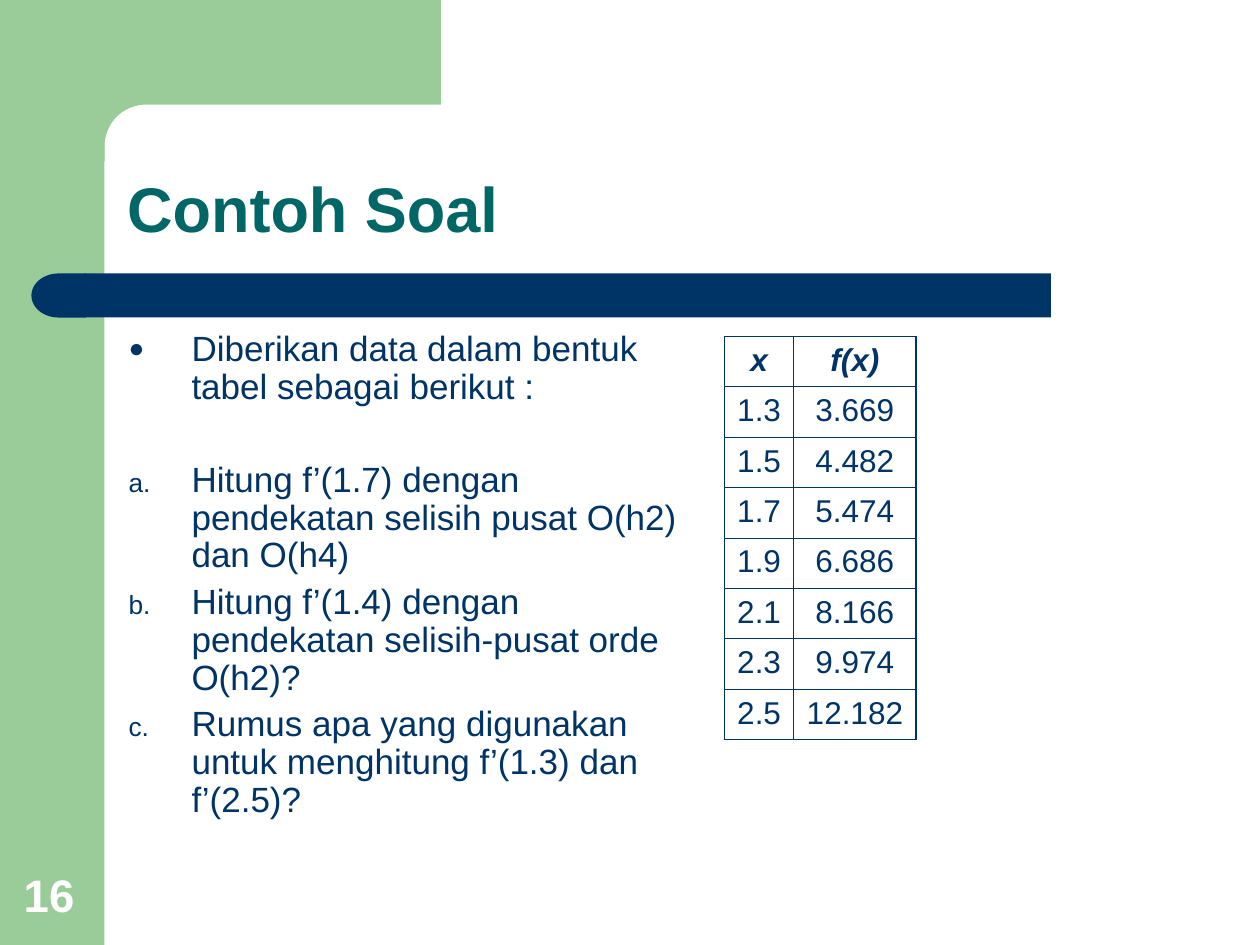
"""Builds the exercise slide with a list of questions and a table of function values."""
from dataclasses import dataclass
from math import cos, pi, sin

from lxml.etree import SubElement
from pptx import Presentation
from pptx.dml.color import RGBColor
from pptx.enum.shapes import MSO_SHAPE as SHAPE
from pptx.enum.text import MSO_ANCHOR as ANCHOR, MSO_AUTO_SIZE as AUTO, PP_ALIGN as ALIGN
from pptx.oxml.ns import qn
from pptx.util import Inches, Pt

COLORS = {"green": "99CC99", "navy": "003366", "teal": "006666", "white": "FFFFFF"}
FONT = "Arial"
THIN, THICK = 0.45, 1.08


@dataclass
class Block:
    preset: SHAPE
    left: float
    top: float
    width: float
    height: float
    color: str
    flip: bool = False


@dataclass
class Item:
    text: str
    numbered: bool = True
    before: float = 5


BLOCKS = [
    Block(SHAPE.RECTANGLE, 0, 0, 0.83, 7.5, "green"),
    Block(SHAPE.RECTANGLE, 0.67, 2.17, 7.67, 0.35, "navy"),
    Block(SHAPE.FLOWCHART_DELAY, 0.25, 2.17, 0.43, 0.35, "navy", flip=True),
]
ITEMS = [
    Item("Diberikan data dalam bentuk tabel sebagai berikut :", numbered=False),
    Item("Hitung f’(1.7) dengan pendekatan selisih pusat O(h2) dan O(h4)", before=31.5),
    Item("Hitung f’(1.4) dengan pendekatan selisih-pusat orde O(h2)?"),
    Item("Rumus apa yang digunakan untuk menghitung f’(1.3) dan f’(2.5)?"),
]
ROWS = [
    ("x", "f(x)"), ("1.3", "3.669"), ("1.5", "4.482"), ("1.7", "5.474"),
    ("1.9", "6.686"), ("2.1", "8.166"), ("2.3", "9.974"), ("2.5", "12.182"),
]


def rgb(name: str) -> RGBColor:
    return RGBColor.from_string(COLORS[name])


def paint(sp, color: str) -> None:
    sp.shadow.inherit = False
    sp.fill.solid()
    sp.fill.fore_color.rgb = rgb(color)
    sp.line.fill.background()


def add_run(p, text: str, size: float, color: str, bold: bool = False, italic: bool = False) -> None:
    r = p.add_run()
    r.text = text
    r.font.name, r.font.size = FONT, Pt(size)
    r.font.bold, r.font.italic = bold, italic
    r.font.color.rgb = rgb(color)


def place(sp, left: float, top: float, width: float, height: float) -> None:
    sp.left, sp.top, sp.width, sp.height = map(Inches, (left, top, width, height))


def add_block(s, block: Block) -> None:
    sp = s.shapes.add_shape(
        block.preset, *map(Inches, (block.left, block.top, block.width, block.height)))
    paint(sp, block.color)
    if block.flip:
        sp._element.spPr.find(qn("a:xfrm")).set("flipH", "1")


def add_corner(s) -> None:
    center, radius, steps = 1.16, 0.33, 16
    angles = [pi / 2 * (1 + i / steps) for i in range(steps + 1)]
    arc = [(center + radius * cos(a), center - radius * sin(a)) for a in angles]
    points = [(3.5, 0.83), *arc, (0.83, 1.28), (0.5, 1.28), (0.5, 0)]
    builder = s.shapes.build_freeform(Inches(3.5), 0)
    builder.add_line_segments([(Inches(x), Inches(y)) for x, y in points], close=True)
    paint(builder.convert_to_shape(), "green")


def add_number(s) -> None:
    tf = s.shapes.add_textbox(*map(Inches, (0.09, 6.83, 0.64, 0.53))).text_frame
    tf.word_wrap, tf.vertical_anchor = True, ANCHOR.BOTTOM
    add_run(tf.paragraphs[0], "16", 26, "white", bold=True)


def fill_title(sp) -> None:
    place(sp, 0.91, 0.91, 8.51, 1.09)
    tf = sp.text_frame
    tf.auto_size, tf.vertical_anchor = AUTO.NONE, ANCHOR.BOTTOM
    p = tf.paragraphs[0]
    p.alignment, p.line_spacing = ALIGN.LEFT, 0.9
    add_run(p, "Contoh Soal", 36, "teal", bold=True)


def set_bullet(p, numbered: bool) -> None:
    pPr = p._p.get_or_add_pPr()
    pPr.set("marL", str(Inches(0.5)))
    pPr.set("indent", str(-Inches(0.5)))
    SubElement(SubElement(pPr, qn("a:buClr")), qn("a:srgbClr"), val=COLORS["navy"])
    SubElement(pPr, qn("a:buSzPct"), val="75000")
    SubElement(pPr, qn("a:buFont"), typeface=FONT)
    if numbered:
        SubElement(pPr, qn("a:buAutoNum"), type="alphaLcPeriod")
    else:
        SubElement(pPr, qn("a:buChar"), char="●")


def fill_body(sp, items: list[Item]) -> None:
    place(sp, 0.92, 2.58, 4.58, 4.25)
    tf = sp.text_frame
    tf.auto_size = AUTO.NONE
    for i, item in enumerate(items):
        p = tf.add_paragraph() if i else tf.paragraphs[0]
        p.line_spacing, p.space_before = 0.9, Pt(item.before)
        set_bullet(p, item.numbered)
        add_run(p, item.text, 20, "navy")


def set_borders(cell, widths: dict[str, float]) -> None:
    tcPr = cell._tc.get_or_add_tcPr()
    for i, (side, width) in enumerate(widths.items()):
        ln = tcPr.makeelement(qn(f"a:{side}"), {"w": str(Pt(width))})
        SubElement(SubElement(ln, qn("a:solidFill")), qn("a:srgbClr"), val=COLORS["navy"])
        tcPr.insert(i, ln)


def add_values(s, rows: list[tuple[str, str]]) -> None:
    frame = s.shapes.add_table(
        len(rows), 2, *map(Inches, (5.75, 2.67, 1.52, 0.4 * len(rows))))
    table = frame.table
    table.horz_banding = table.first_row = False
    for column, width in zip(table.columns, (0.55, 0.97)):
        column.width = Inches(width)
    last = len(rows) - 1
    for i, row in enumerate(rows):
        for j, text in enumerate(row):
            cell = table.cell(i, j)
            cell.fill.background()
            edges = {"lnL": j == 0, "lnR": j == 1, "lnT": i == 0, "lnB": i == last}
            set_borders(cell, {side: THICK if outer else THIN for side, outer in edges.items()})
            p = cell.text_frame.paragraphs[0]
            p.alignment, p.space_before = ALIGN.CENTER, Pt(4.5)
            add_run(p, text, 18, "navy", bold=i == 0, italic=i == 0)


def main() -> None:
    prs = Presentation()
    prs.slide_width, prs.slide_height = Inches(10), Inches(7.5)
    s = prs.slides.add_slide(prs.slide_layouts[1])
    title, body = s.placeholders
    for block in BLOCKS:
        add_block(s, block)
    add_corner(s)
    add_number(s)
    fill_title(title)
    fill_body(body, ITEMS)
    for sp in (title, body):
        s.shapes._spTree.append(sp._element)
    add_values(s, ROWS)
    prs.save("out.pptx")


if __name__ == "__main__":
    main()
